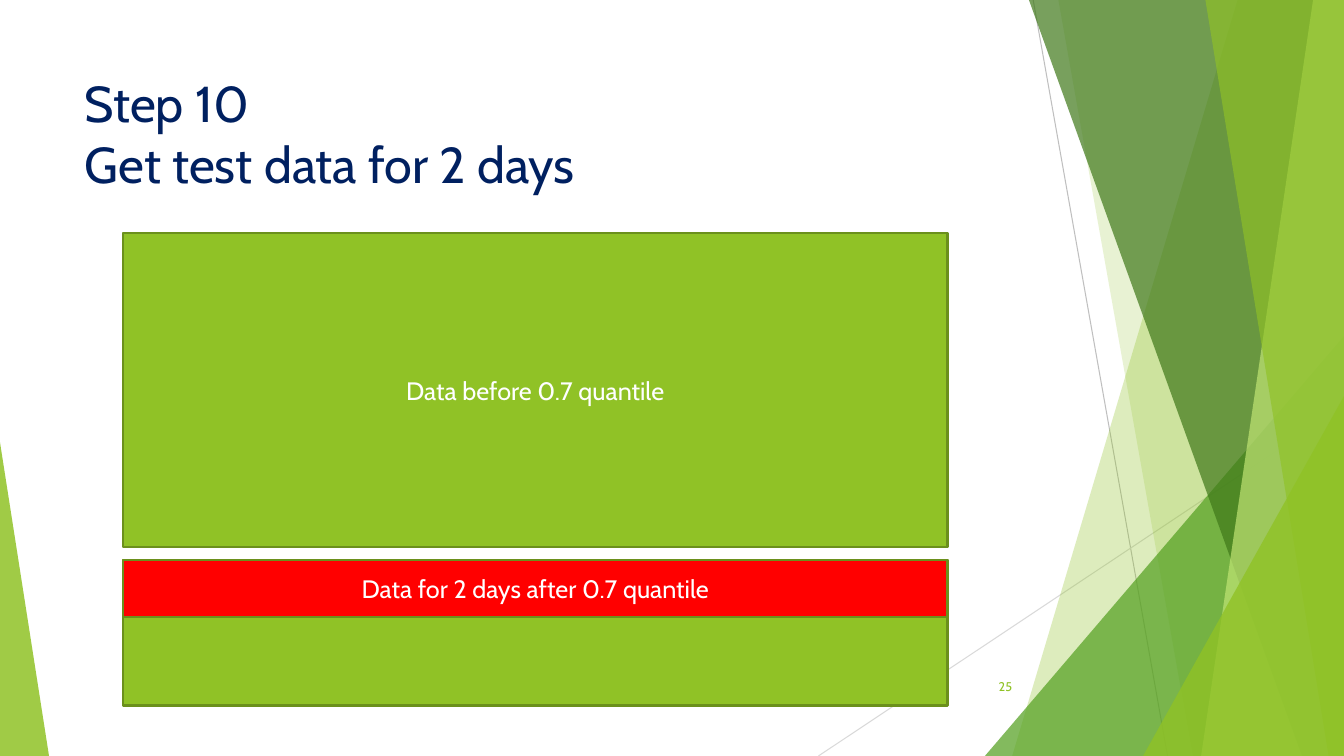
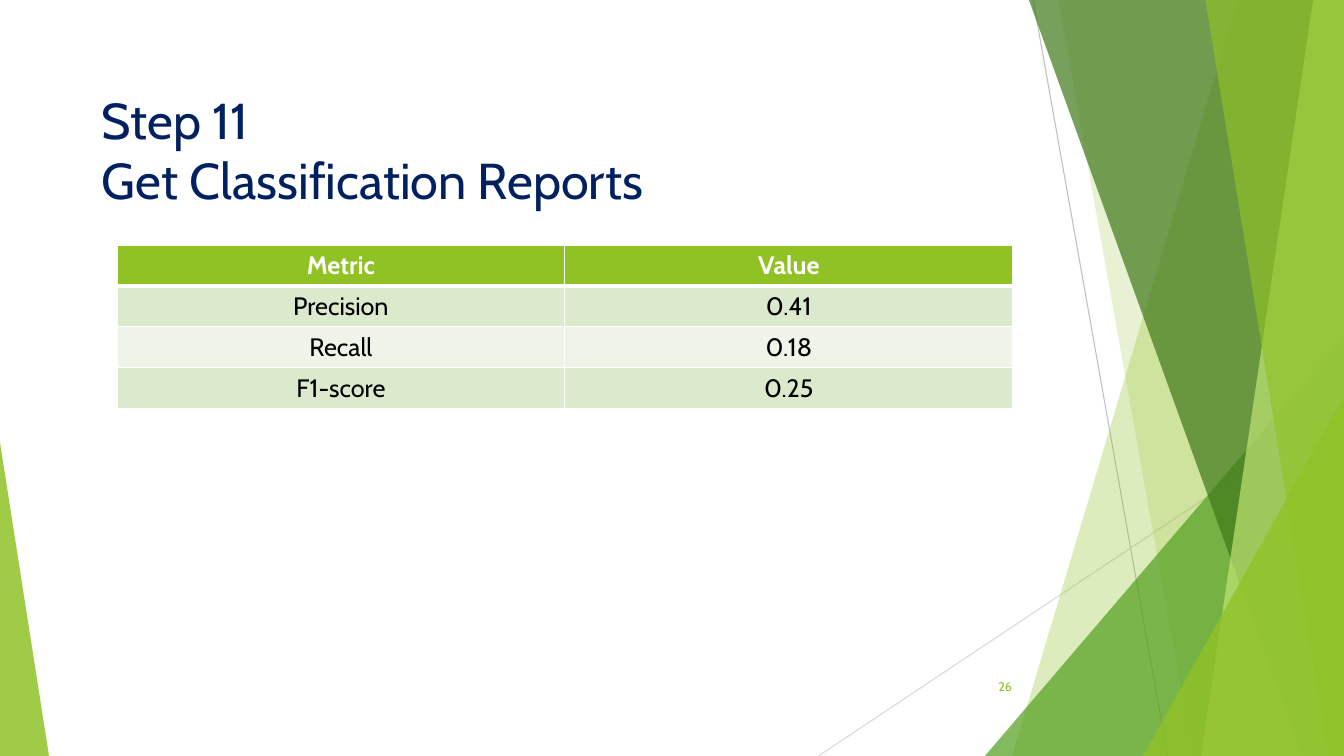
from copy import deepcopy

from lxml.etree import SubElement
from pptx import Presentation
from pptx.dml.color import RGBColor
from pptx.enum.shapes import MSO_CONNECTOR as Conn, MSO_SHAPE as Kind
from pptx.enum.text import MSO_ANCHOR as Anchor, MSO_AUTO_SIZE as Fit, PP_ALIGN as Align
from pptx.oxml.ns import qn
from pptx.util import Pt

# Content
STEPS = [
    {"title": "Step 10\vGet test data for 2 days", "at": (53.3, 48.2), "page": "25"},
    {"title": "Step 11\vGet Classification Reports", "at": (65.5, 59.8), "page": "26"},
]
BLOCKS = [  # text, top, height, fill
    ("Data before 0.7 quantile", 166.3, 224.6, "green"),
    ("", 400.3, 103.7, "green"),
    ("Data for 2 days after 0.7 quantile", 400.3, 40.3, "red"),
]
SCORES = [
    ("Metric", "Value"),
    ("Precision", "0.41"),
    ("Recall", "0.18"),
    ("F1-score", "0.25"),
]

# Shared style
WIDE, HIGH = 960, 540
FONT = "Cabin"
HEX = {
    "green": "90C226", "leaf": "54A021", "forest": "3F7819", "lime": "C0E474",
    "edge": "6B901C", "red": "FF0000", "navy": "002060", "white": "FFFFFF",
    "black": "000000", "odd": "DBE9CD", "even": "EEF4E8",
    "grey": "BFBFBF", "pale": "D9D9D9",
}
RAYS = [  # start, end, colour
    ((738, 0), (834, HIGH), "grey"),
    ((WIDE, 290), (584.6, HIGH), "pale"),
]
BANDS = [  # kind, geometry, colour, opacity in percent
    ("quad", (884, 723), "green", 30),
    ("quad", (756, 852), "green", 20),
    ("peak", (703.5, 240, 256.5, 300, 1), "leaf", 72),
    ("quad", (735, 930), "forest", 70),
    ("quad", (938, 858), "lime", 70),
    ("quad", (861, 949), "green", 65),
    ("peak", (816.5, 283, 143.5, 257, 1), "green", 80),
    ("peak", (0, 316, 35, 224, 0), "green", 85),
]


def rgb(name):
    return RGBColor.from_string(HEX[name])


def pts(*nums):
    return [Pt(n) for n in nums]


def write(frame, text, size=18, color="white", align=Align.CENTER, bold=False,
          anchor=Anchor.MIDDLE):
    frame.word_wrap = True
    frame.auto_size = Fit.NONE
    frame.vertical_anchor = anchor
    para = frame.paragraphs[0]
    para.text = text
    para.alignment = align
    for run in para.runs:
        font = run.font
        font.name, font.size, font.bold = FONT, Pt(size), bold
        font.color.rgb = rgb(color)
    # Line breaks take the same size as the text around them
    for gap in para._p.findall(qn("a:br")):
        gap.insert(0, deepcopy(para.runs[0]._r.rPr))


def paint(shape, color, edge=None, alpha=100):
    shape.shadow.inherit = False
    shape.fill.solid()
    shape.fill.fore_color.rgb = rgb(color)
    if alpha < 100:
        tint = next(shape.element.spPr.iter(qn("a:srgbClr")))
        SubElement(tint, qn("a:alpha")).set("val", str(alpha * 1000))
    if edge:
        shape.line.color.rgb = rgb(edge)
        shape.line.width = Pt(1.5)
    else:
        shape.line.fill.background()


def draw_ray(shapes, start, end, color):
    ray = shapes.add_connector(Conn.STRAIGHT, *pts(*start, *end))
    ray.line.color.rgb = rgb(color)
    ray.line.width = Pt(0.75)
    SubElement(ray.element.spPr, qn("a:effectLst"))
    return ray


def draw_band(shapes, kind, geo, color, alpha):
    if kind == "quad":
        top, low = geo
        pen = shapes.build_freeform(Pt(top), 0)
        pen.add_line_segments([pts(WIDE, 0), pts(WIDE, HIGH), pts(low, HIGH)], close=True)
        band = pen.convert_to_shape()
    else:
        *box, tip = geo
        band = shapes.add_shape(Kind.ISOSCELES_TRIANGLE, *pts(*box))
        band.adjustments[0] = tip
    paint(band, color, alpha=alpha)
    return band


def dress(layout, slide):
    """Draw the backdrop once and move it into the layout."""
    parts = [draw_ray(slide.shapes, *ray) for ray in RAYS]
    parts += [draw_band(slide.shapes, *band) for band in BANDS]
    for num, part in enumerate(parts, 20):
        next(part.element.iter(qn("p:cNvPr"))).set("id", str(num))
        layout.shapes.element.append(part.element)


def head(slide, step):
    title = slide.shapes.title
    title.left, title.top, title.width, title.height = pts(*step["at"], 676.8, 103.7)
    write(title.text_frame, step["title"], size=36, color="navy",
          align=Align.LEFT, anchor=Anchor.TOP)
    page = slide.shapes.add_textbox(*pts(676, 476, 54, 28.8))
    write(page.text_frame, step["page"], size=9, color="green", align=Align.RIGHT)


def draw_blocks(shapes):
    for text, top, tall, color in BLOCKS:
        block = shapes.add_shape(Kind.RECTANGLE, *pts(87.8, top, 589, tall))
        paint(block, color, edge="edge")
        if text:
            write(block.text_frame, text)


def rule(cell, sides):
    props = cell._tc.get_or_add_tcPr()
    for spot, (side, width) in enumerate(sides.items()):
        line = SubElement(props, qn("a:ln" + side))
        line.set("w", str(Pt(width)))
        fill = SubElement(line, qn("a:solidFill"))
        SubElement(fill, qn("a:srgbClr")).set("val", HEX["white"])
        props.insert(spot, line)


def draw_table(shapes):
    rows, cols, tall = len(SCORES), len(SCORES[0]), 29.2
    table = shapes.add_table(rows, cols, *pts(83.5, 175, 640, rows * tall)).table
    for r, line in enumerate(SCORES):
        table.rows[r].height = Pt(tall)
        top = r == 0
        for c, text in enumerate(line):
            cell = table.cell(r, c)
            cell.fill.solid()
            cell.fill.fore_color.rgb = rgb("green" if top else "odd" if r % 2 else "even")
            rule(cell, {"L": 1, "R": 1, "T": 3 if r == 1 else 1, "B": 3 if top else 1})
            write(cell.text_frame, text, color="white" if top else "black", bold=top)
            cell.vertical_anchor = Anchor.TOP


def main():
    prs = Presentation()
    prs.slide_width, prs.slide_height = pts(WIDE, HIGH)
    layout = prs.slide_layouts[5]
    slides = [prs.slides.add_slide(layout) for _ in STEPS]
    dress(layout, slides[0])
    for slide, step, fill in zip(slides, STEPS, (draw_blocks, draw_table)):
        head(slide, step)
        fill(slide.shapes)
    prs.save("out.pptx")


if __name__ == "__main__":
    main()
